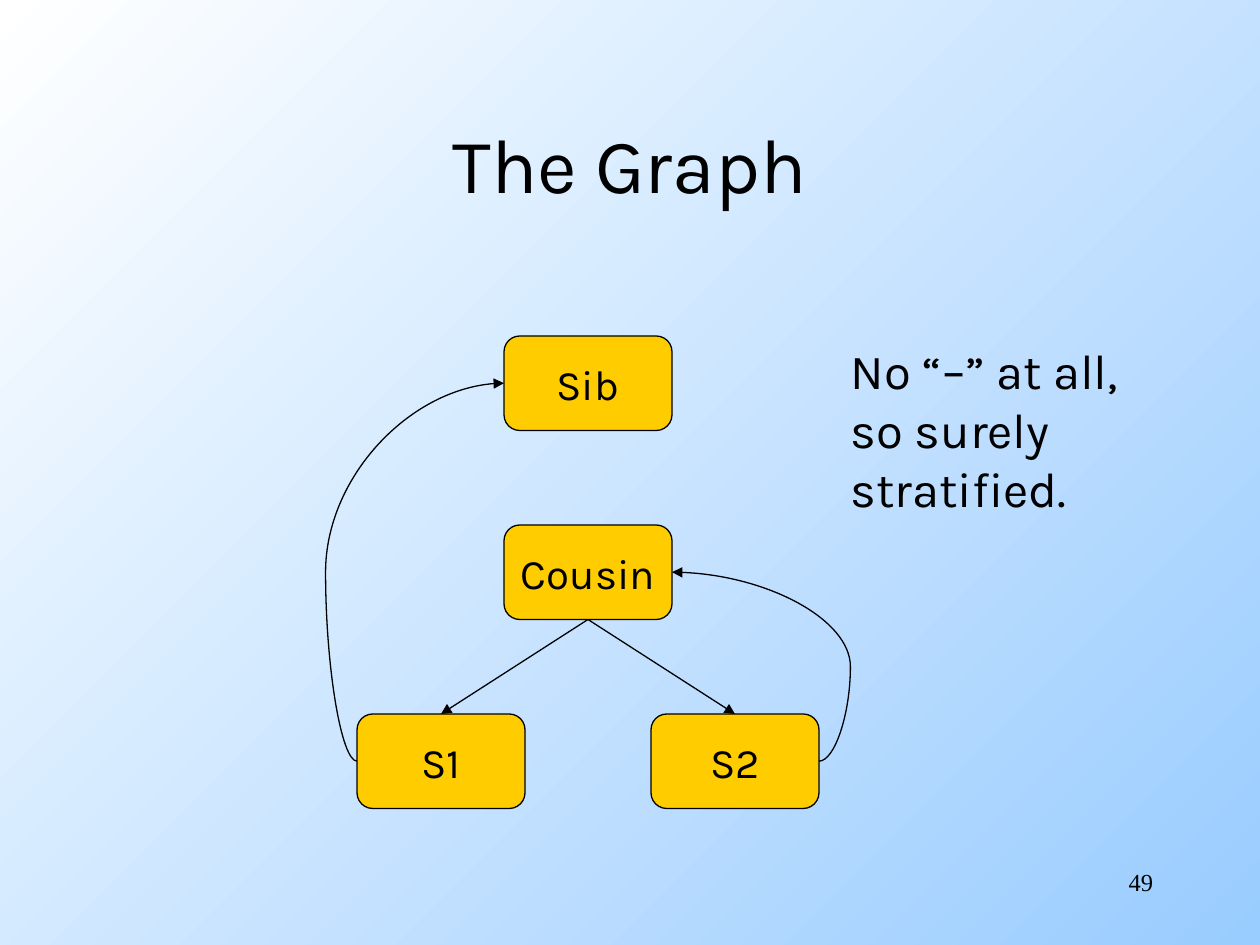
from lxml import etree
from pptx import Presentation
from pptx.dml.color import RGBColor
from pptx.enum import shapes, text
from pptx.oxml.ns import qn
from pptx.util import Pt


def color(hex_code):
    return RGBColor.from_string(hex_code)


def style(paragraph, size, align, font="Karla"):
    paragraph.alignment = align
    paragraph.font.name = font
    paragraph.font.size = Pt(size)
    paragraph.font.color.rgb = color("000000")


LEFT, CENTER, RIGHT = text.PP_ALIGN.LEFT, text.PP_ALIGN.CENTER, text.PP_ALIGN.RIGHT

prs = Presentation()
prs.slide_width, prs.slide_height = Pt(720), Pt(540)
slide = prs.slides.add_slide(prs.slide_layouts[5])

# Background: white to light blue, towards the lower right
background = slide.background.fill
background.gradient()
background.gradient_angle = 315
for stop, (position, hex_code) in zip(background.gradient_stops,
                                      [(0, "FFFFFF"), (1, "99CCFF")]):
    stop.position = position
    stop.color.rgb = color(hex_code)

# Title
title = slide.shapes.title
title.left, title.top, title.width, title.height = Pt(54), Pt(48), Pt(612), Pt(90)
title.text_frame.text = "The Graph"
title.text_frame.vertical_anchor = text.MSO_ANCHOR.MIDDLE
style(title.text_frame.paragraphs[0], 44, CENTER)

# Graph nodes
nodes = {}
for name, x, y in [("Sib", 288, 192), ("Cousin", 288, 300),
                   ("S1", 204, 408), ("S2", 372, 408)]:
    node = slide.shapes.add_shape(shapes.MSO_SHAPE.FLOWCHART_ALTERNATE_PROCESS,
                                  Pt(x), Pt(y), Pt(96), Pt(54))
    node.shadow.inherit = False
    node.fill.solid()
    node.fill.fore_color.rgb = color("FFCC00")
    node.line.color.rgb = color("000000")
    node.line.width = Pt(0.75)
    node.text_frame.text = name
    node.text_frame.word_wrap = False
    node.text_frame.vertical_anchor = text.MSO_ANCHOR.MIDDLE
    style(node.text_frame.paragraphs[0], 24, CENTER)
    nodes[name] = node

# Dependency arrows, joined at the sides of the nodes
TOP, WEST, BOTTOM, EAST = range(4)
STRAIGHT, CURVE = shapes.MSO_CONNECTOR.STRAIGHT, shapes.MSO_CONNECTOR.CURVE
for kind, source, source_side, target, target_side in [
        (STRAIGHT, "Cousin", BOTTOM, "S1", TOP),
        (STRAIGHT, "Cousin", BOTTOM, "S2", TOP),
        (CURVE, "S1", WEST, "Sib", WEST),
        (CURVE, "S2", EAST, "Cousin", EAST)]:
    arrow = slide.shapes.add_connector(kind, 0, 0, 0, 0)
    arrow.begin_connect(nodes[source], source_side)
    arrow.end_connect(nodes[target], target_side)
    arrow.line.color.rgb = color("000000")
    arrow.line.width = Pt(0.75)
    properties = arrow._element.spPr
    etree.SubElement(properties.find(qn("a:ln")), qn("a:tailEnd"), type="triangle")
    etree.SubElement(properties, qn("a:effectLst"))
    if kind == CURVE:  # bulge 18 pt outside the source node
        adjustments = properties.find(qn("a:prstGeom")).get_or_add_avLst()
        etree.SubElement(adjustments, qn("a:gd"), name="adj1", fmla="val -21400")

# Remark and slide number
for lines, x, y, width, height, size, align, font, wrap in [
        (["No “–” at all,", "so surely", "stratified."],
         479, 191, 173, 108, 28, LEFT, "Karla", False),
        (["49"], 516, 492, 150, 36, 14, RIGHT, "Times New Roman", True)]:
    frame = slide.shapes.add_textbox(Pt(x), Pt(y), Pt(width), Pt(height)).text_frame
    frame.word_wrap = wrap
    frame.text = "\n".join(lines)
    for paragraph in frame.paragraphs:
        style(paragraph, size, align, font)

prs.save("out.pptx")
